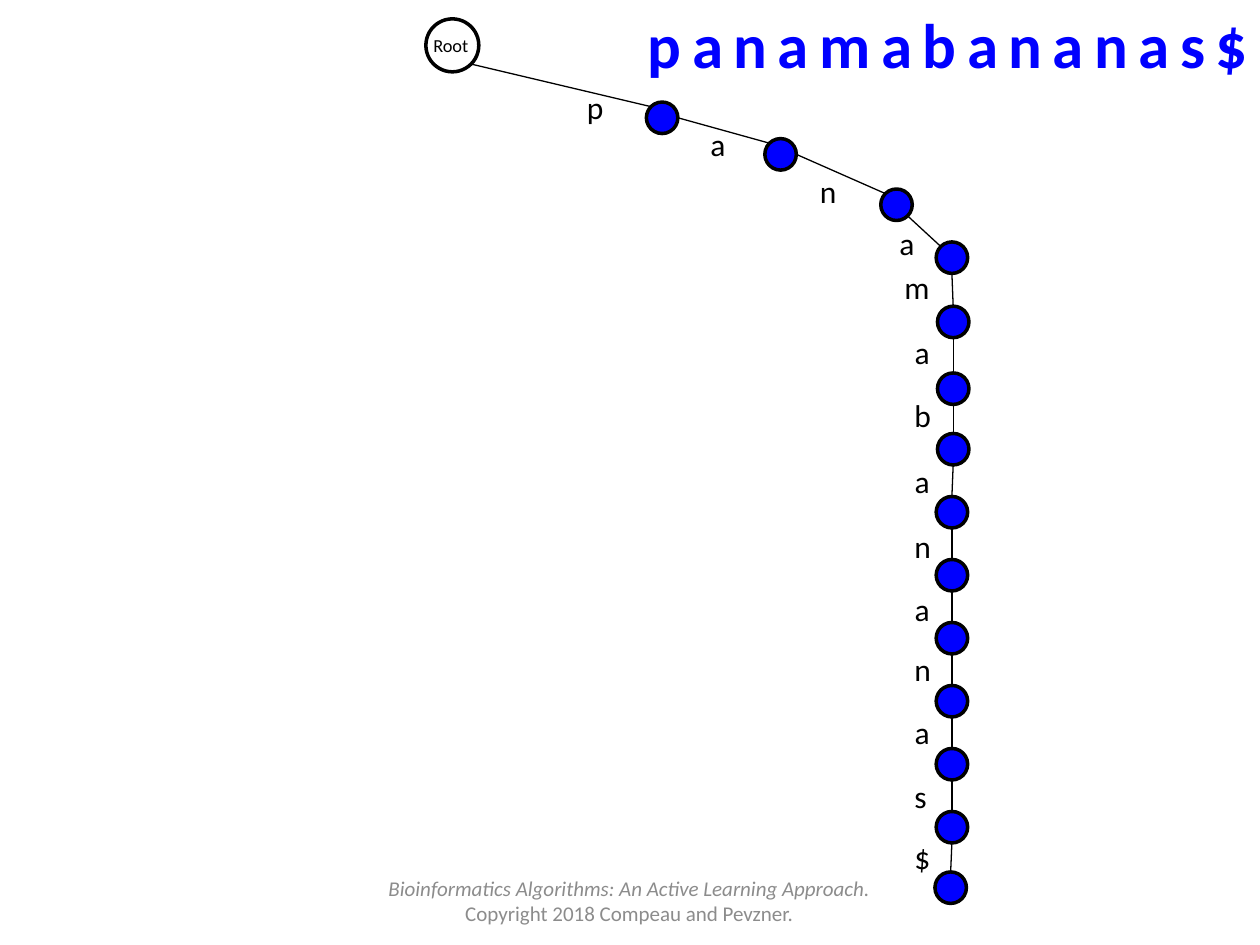
"""Draw the first path of a suffix trie for the text panamabananas$."""
from dataclasses import dataclass
from math import cos, radians, sin

from lxml.etree import SubElement
from pptx import Presentation
from pptx.dml.color import RGBColor
from pptx.enum.shapes import MSO_CONNECTOR, MSO_SHAPE
from pptx.enum.text import MSO_ANCHOR, MSO_AUTO_SIZE, PP_ALIGN
from pptx.oxml.ns import qn
from pptx.util import Inches, Pt

BLACK, WHITE, BLUE, GRAY = "000000", "FFFFFF", "0000FF", "8C8C8C"
RIGHT, LOWER_RIGHT, BOTTOM, UPPER_LEFT, TOP = 0, 45, 90, 225, 270
NODE_SIZE = 0.25
LABEL_WIDTHS = {"m": 0.4, "a": 0.32, "s": 0.3, "$": 0.33}


@dataclass
class Node:
    left: float
    top: float
    size: float = NODE_SIZE
    fill: str = BLUE

    def edge_point(self, angle: float) -> tuple[float, float]:
        radius = self.size / 2
        return (self.left + radius + radius * cos(radians(angle)),
                self.top + radius + radius * sin(radians(angle)))


@dataclass
class Step:
    letter: str
    node: Node
    label_left: float
    label_top: float
    leave: float = BOTTOM
    enter: float = TOP


ROOT = Node(3.38, 0.15, 0.42, WHITE)
BEND = [
    Step("p", Node(5.13, 0.81), 4.56, 0.65, LOWER_RIGHT, UPPER_LEFT),
    Step("a", Node(6.07, 1.1), 5.54, 0.94, RIGHT, UPPER_LEFT),
    Step("n", Node(6.99, 1.5), 6.41, 1.32, RIGHT, UPPER_LEFT),
    Step("a", Node(7.43, 1.92), 7.04, 1.73, LOWER_RIGHT, UPPER_LEFT),
    Step("m", Node(7.44, 2.43), 7.08, 2.08),
    Step("a", Node(7.44, 2.96), 7.16, 2.59),
    Step("b", Node(7.44, 3.44), 7.16, 3.09),
]
LABEL_TOPS = [3.62, 4.13, 4.63, 5.11, 5.61, 6.12]
COLUMN = [Step(letter, Node(7.43, 3.94 + 0.5 * index), 7.16, label_top)
          for index, (letter, label_top) in enumerate(zip("ananas", LABEL_TOPS))]
STEPS = BEND + COLUMN + [Step("$", Node(7.42, 6.92), 7.16, 6.6)]


def color(value: str) -> RGBColor:
    return RGBColor.from_string(value)


def write(shape, text: str, *, size: float, fill: str = BLACK, bold: bool = False,
          italics: tuple[bool, ...] = (False,), align=PP_ALIGN.LEFT,
          anchor=MSO_ANCHOR.TOP, wrap: bool = True, spacing: int = 0) -> None:
    frame = shape.text_frame
    frame.text = text
    frame.word_wrap = wrap
    frame.auto_size = MSO_AUTO_SIZE.NONE
    frame.vertical_anchor = anchor
    for paragraph, italic in zip(frame.paragraphs, italics):
        paragraph.alignment = align
        for run in paragraph.runs:
            font = run.font
            font.name, font.size = "Calibri", Pt(size)
            font.bold, font.italic = bold, italic
            font.color.rgb = color(fill)
            if spacing:
                font._element.set("spc", str(spacing * 100))


def add_text(slide, text: str, left: float, top: float, width: float,
             height: float, **text_format) -> None:
    box = slide.shapes.add_textbox(*map(Inches, (left, top, width, height)))
    write(box, text, **text_format)


def add_node(slide, node: Node) -> None:
    shape = slide.shapes.add_shape(
        MSO_SHAPE.OVAL, *map(Inches, (node.left, node.top, node.size, node.size)))
    shape.shadow.inherit = False
    shape.fill.solid()
    shape.fill.fore_color.rgb = color(node.fill)
    shape.line.color.rgb = color(BLACK)
    shape.line.width = Pt(2)


def add_edge(slide, parent: Node, step: Step) -> None:
    points = parent.edge_point(step.leave) + step.node.edge_point(step.enter)
    edge = slide.shapes.add_connector(MSO_CONNECTOR.STRAIGHT, *map(Inches, points))
    edge.line.color.rgb = color(BLACK)
    edge.line.width = Pt(0.75)
    SubElement(edge._element.spPr, qn("a:effectLst"))


def main() -> None:
    presentation = Presentation()
    presentation.slide_width, presentation.slide_height = Inches(10), Inches(7.5)
    slide = presentation.slides.add_slide(presentation.slide_layouts[5])

    title = slide.shapes.title
    title.left, title.top = Inches(5), Inches(-0.01)
    title.width, title.height = Inches(5.01), Inches(0.71)
    write(title, "panamabananas$", size=36, fill=BLUE, bold=True,
          align=PP_ALIGN.RIGHT, spacing=6)

    add_node(slide, ROOT)
    add_text(slide, "Root", 3.34, 0.22, 0.55, 0.28, size=10.5)
    parent = ROOT
    for step in STEPS:
        add_edge(slide, parent, step)
        add_node(slide, step.node)
        add_text(slide, step.letter, step.label_left, step.label_top,
                 LABEL_WIDTHS.get(step.letter, 0.34), 0.4, size=18, wrap=False)
        parent = step.node

    add_text(slide, "Bioinformatics Algorithms: An Active Learning Approach.\n"
             "Copyright 2018 Compeau and Pevzner.", 2.83, 6.95, 4.33, 0.4,
             size=12, fill=GRAY, italics=(True, False), align=PP_ALIGN.CENTER,
             anchor=MSO_ANCHOR.MIDDLE)
    presentation.save("out.pptx")


if __name__ == "__main__":
    main()
